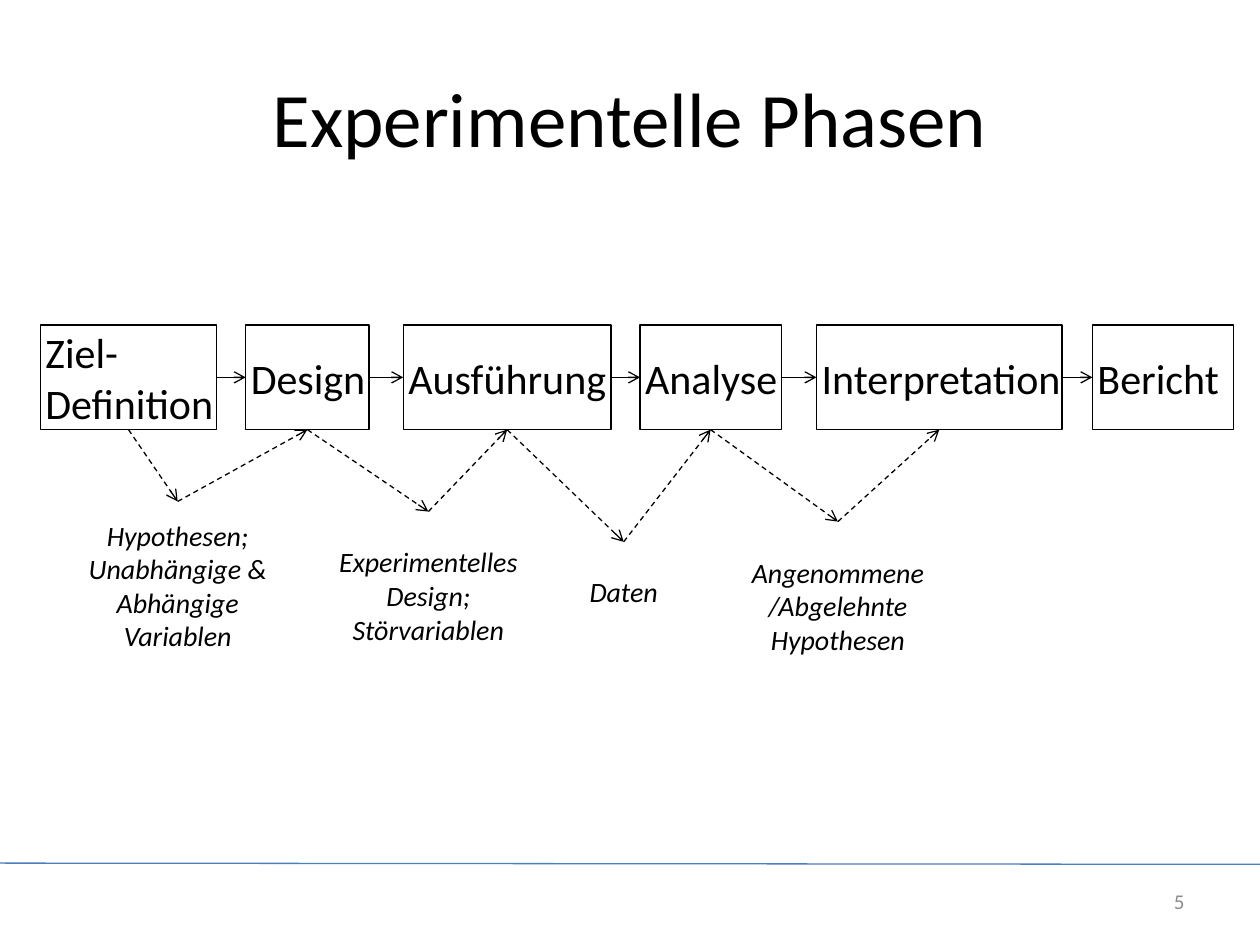
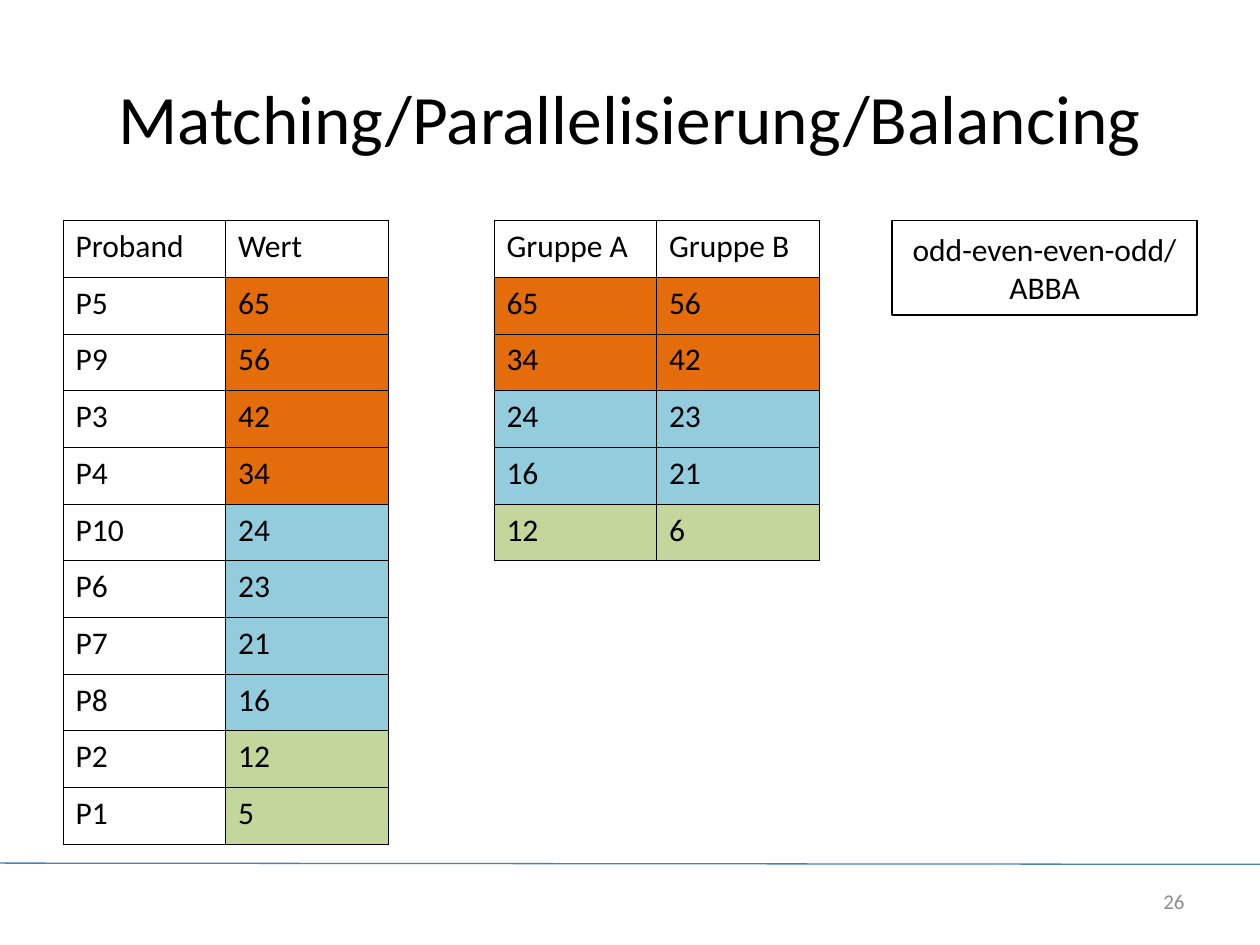
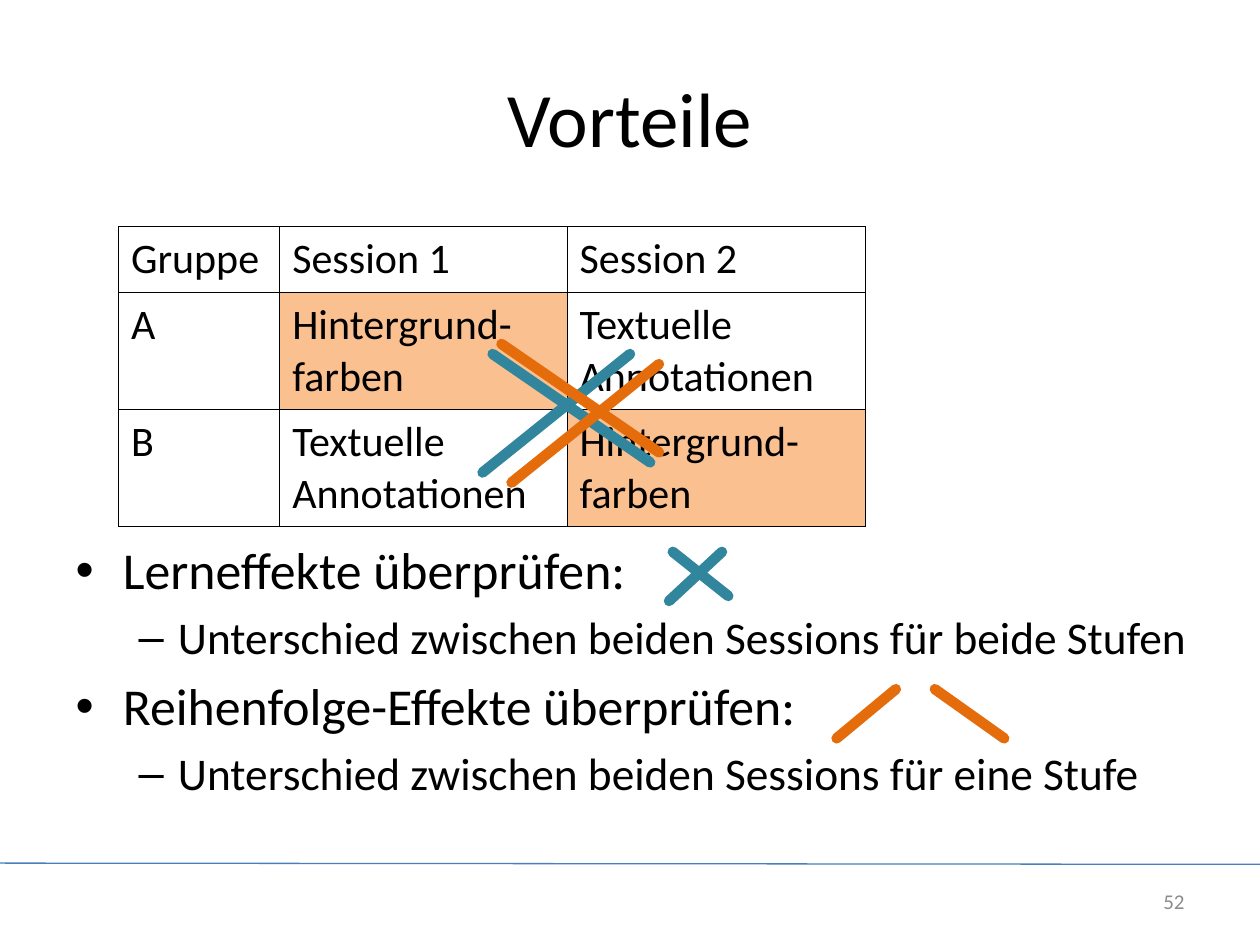
import dataclasses

import pptx
import pptx.dml.color
import pptx.enum.dml
import pptx.enum.shapes
import pptx.enum.text
import pptx.oxml
import pptx.oxml.ns
import pptx.util

ALIGN = pptx.enum.text.PP_ALIGN
ANCHOR = pptx.enum.text.MSO_ANCHOR
RECTANGLE = pptx.enum.shapes.MSO_SHAPE.RECTANGLE
STRAIGHT = pptx.enum.shapes.MSO_CONNECTOR.STRAIGHT
TOP, LEFT, BOTTOM, RIGHT = range(4)
EMU_PER_PX = 9144  # 100 px to the inch


@dataclasses.dataclass(frozen=True)
class Theme:
    font: str = "Calibri"
    ink: str = "000000"
    paper: str = "FFFFFF"
    muted: str = "8C8C8C"
    rule: str = "4B7EBC"
    orange: str = "E46C0A"
    peach: str = "FAC090"
    blue: str = "93CDDD"
    green: str = "C3D69B"
    teal: str = "31859C"
    title_size: float = 44
    long_title_size: float = 39.6
    list_sizes: tuple = (29.6, 25.9)
    large_size: float = 24
    medium_size: float = 18
    note_size: float = 16
    number_size: float = 12
    thin: float = 0.75
    border: float = 0.45
    thick: float = 6
    cell_spacing: float = 1.02


THEME = Theme()


# Shared helpers

def px(length):
    return pptx.util.Emu(length * EMU_PER_PX)


def rgb(color):
    return pptx.dml.color.RGBColor.from_string(color)


def place(shape, box):
    shape.left, shape.top, shape.width, shape.height = map(px, box)


def write(frame, lines, size, color=THEME.ink, align=None, italic=None):
    """Put one paragraph per line into the frame and return the paragraphs."""
    for index, line in enumerate(lines):
        paragraph = frame.paragraphs[0] if index == 0 else frame.add_paragraph()
        paragraph.alignment = align
        run = paragraph.add_run()
        run.text = line
        run.font.name = THEME.font
        run.font.size = pptx.util.Pt(size)
        run.font.italic = italic
        run.font.color.rgb = rgb(color)
    return frame.paragraphs


def add_label(slide, box, lines, size, **style):
    shape = slide.shapes.add_textbox(*map(px, box))
    shape.text_frame.word_wrap = True
    shape.text_frame.vertical_anchor = ANCHOR.MIDDLE
    write(shape.text_frame, lines, size, **style)
    return shape


def add_rectangle(slide, box, fill=None, line=None):
    shape = slide.shapes.add_shape(RECTANGLE, *map(px, box))
    shape.shadow.inherit = False
    if fill:
        shape.fill.solid()
        shape.fill.fore_color.rgb = rgb(fill)
    else:
        shape.fill.background()
    if line:
        shape.line.color.rgb = rgb(line)
        shape.line.width = pptx.util.Pt(THEME.thin)
    else:
        shape.line.fill.background()
    shape.text_frame.word_wrap = True
    shape.text_frame.vertical_anchor = ANCHOR.MIDDLE
    return shape


def add_line(shapes, ends, color, width):
    connector = shapes.add_connector(STRAIGHT, *map(px, ends))
    connector.line.color.rgb = rgb(color)
    connector.line.width = pptx.util.Pt(width)
    properties = connector._element.spPr
    properties.append(pptx.oxml.parse_xml(
        f"<a:effectLst {pptx.oxml.ns.nsdecls('a')}/>"))
    return connector


def add_arrow(slide, start, start_side, end, end_side, dashed=False):
    arrow = add_line(slide.shapes, (0, 0, 0, 0), THEME.ink, THEME.thin)
    arrow.begin_connect(start, start_side)
    arrow.end_connect(end, end_side)
    if dashed:
        arrow.line.dash_style = pptx.enum.dml.MSO_LINE.DASH
    arrow.line._get_or_add_ln().append(pptx.oxml.parse_xml(
        f'<a:tailEnd {pptx.oxml.ns.nsdecls("a")} type="arrow"/>'))


def add_strokes(slide, origin, strokes, color):
    """Draw thick round-ended lines, given relative to the origin."""
    shapes = slide.shapes.add_group_shape().shapes
    x, y = origin
    for x1, y1, x2, y2 in strokes:
        stroke = add_line(shapes, (x + x1, y + y1, x + x2, y + y2),
                          color, THEME.thick)
        stroke.line._get_or_add_ln().set("cap", "rnd")


def set_borders(cell):
    properties = cell._tc.get_or_add_tcPr()
    for index, side in enumerate("LRTB"):
        properties.insert(index, pptx.oxml.parse_xml(
            f'<a:ln{side} {pptx.oxml.ns.nsdecls("a")} '
            f'w="{pptx.util.Pt(THEME.border)}"><a:solidFill>'
            f'<a:srgbClr val="{THEME.ink}"/></a:solidFill></a:ln{side}>'))


def add_grid(slide, origin, widths, heights, rows, size, fills=None):
    """Add a bordered table; fills maps (row, column) to a colour."""
    fills = fills or {}
    box = (*origin, sum(widths), sum(heights))
    table = slide.shapes.add_table(len(rows), len(widths), *map(px, box)).table
    table.first_row = table.horz_banding = False
    for column, width in zip(table.columns, widths):
        column.width = px(width)
    for row, height in zip(table.rows, heights):
        row.height = px(height)
    for r, texts in enumerate(rows):
        for c, text in enumerate(texts):
            cell = table.cell(r, c)
            if (r, c) in fills:
                cell.fill.solid()
                cell.fill.fore_color.rgb = rgb(fills[r, c])
            else:
                cell.fill.background()
            set_borders(cell)
            paragraph = write(cell.text_frame, [text], size)[0]
            paragraph.line_spacing = THEME.cell_spacing


def start_slide(presentation, layout, title, number, size=THEME.title_size):
    """Add a slide with its title, footer rule and number."""
    slide = presentation.slides.add_slide(presentation.slide_layouts[layout])
    add_line(slide.shapes, (0, 685, 1000, 686), THEME.rule, THEME.thin)
    heading = slide.shapes.title
    place(heading, (50, 30, 900, 125))
    heading.text_frame.auto_size = pptx.enum.text.MSO_AUTO_SIZE.NONE
    heading.text_frame.vertical_anchor = ANCHOR.MIDDLE
    write(heading.text_frame, [title], size, align=ALIGN.CENTER)
    add_label(slide, (859, 695, 91, 40), [number], THEME.number_size,
              color=THEME.muted, align=ALIGN.RIGHT)
    return slide


# Slide 1: process chain

def add_phases(slide, box):
    left, top, _, height = box
    phases = []
    for text, offset, width in (("Ziel-Definition", 0, 140),
                                ("Design", 163, 98),
                                ("Ausführung", 288, 165),
                                ("Analyse", 476, 112),
                                ("Interpretation", 616, 195),
                                ("Bericht", 835, 112)):
        phase = add_rectangle(slide, (left + offset, top, width, height),
                              line=THEME.ink)
        frame = phase.text_frame
        frame.margin_left = px(4)
        frame.margin_top = frame.margin_right = frame.margin_bottom = 0
        write(frame, [text], THEME.large_size, align=ALIGN.LEFT)
        phases.append(phase)
    for phase, following in zip(phases, phases[1:]):
        add_arrow(slide, phase, RIGHT, following, LEFT)
    return phases


def add_results(slide, box, phases):
    """Each result leads from one phase to the next."""
    left, top, _, _ = box
    results = (
        (["Hypothesen; Unabhängige & Abhängige Variablen"], 0, 0, 188, 133),
        (["Experimentelles Design;", "Störvariablen"], 211, 8, 164, 133),
        (["Daten"], 398, 32, 100, 78),
        (["Angenommene/Abgelehnte Hypothesen"], 539, 16, 158, 133),
    )
    for (lines, x, y, width, height), phase, following in zip(
            results, phases, phases[1:]):
        result = add_label(slide, (left + x, top + y, width, height), lines,
                           THEME.note_size, align=ALIGN.CENTER, italic=True)
        add_arrow(slide, phase, BOTTOM, result, TOP, dashed=True)
        add_arrow(slide, result, TOP, following, BOTTOM, dashed=True)


def build_phases_slide(presentation):
    slide = start_slide(presentation, 5, "Experimentelle Phasen", "5")
    phases = add_phases(slide, (32, 258, 947, 83))
    add_results(slide, (47, 398, 697, 149), phases)


# Slide 2: matched groups

def add_banded_table(slide, origin, rows, bands, first_column):
    """Lay coloured bands of whole rows behind a two-column table."""
    left, top = origin
    width, height = 129, 45
    band_top = top + height
    for color, count in bands:
        add_rectangle(slide, (left + first_column * width, band_top,
                              (2 - first_column) * width, count * height),
                      fill=color)
        band_top += count * height
    add_grid(slide, origin, [width] * 2, [height] * len(rows), rows,
             THEME.medium_size)


def build_matching_slide(presentation):
    slide = start_slide(presentation, 5, "Matching/Parallelisierung/Balancing",
                        "26", THEME.long_title_size)
    subjects = (("Proband", "Wert"), ("P5", "65"), ("P9", "56"), ("P3", "42"),
                ("P4", "34"), ("P10", "24"), ("P6", "23"), ("P7", "21"),
                ("P8", "16"), ("P2", "12"), ("P1", "5"))
    groups = (("Gruppe A", "Gruppe B"), ("65", "56"), ("34", "42"),
              ("24", "23"), ("16", "21"), ("12", "6"))
    add_banded_table(slide, (50, 175), subjects,
                     ((THEME.orange, 4), (THEME.blue, 4), (THEME.green, 2)), 1)
    add_banded_table(slide, (392, 175), groups,
                     ((THEME.orange, 2), (THEME.blue, 2), (THEME.green, 1)), 0)
    scheme = add_rectangle(slide, (708, 175, 242, 75), THEME.paper, THEME.ink)
    write(scheme.text_frame, ["odd-even-even-odd/", "ABBA"],
          THEME.medium_size, align=ALIGN.CENTER)


# Slide 3: crossover design

def add_bullets(slide, box, items):
    body = slide.placeholders[1]
    place(body, box)
    frame = body.text_frame
    frame.auto_size = pptx.enum.text.MSO_AUTO_SIZE.NONE
    paragraphs = write(frame, [text for _, text in items], THEME.list_sizes[0])
    for paragraph, (level, _) in zip(paragraphs, items):
        paragraph.level = level
        paragraph.runs[0].font.size = pptx.util.Pt(THEME.list_sizes[level])


def build_advantages_slide(presentation):
    slide = start_slide(presentation, 1, "Vorteile", "52")
    colours, notes = "Hintergrund-farben", "Textuelle Annotationen"
    add_grid(slide, (94, 180), (128, 228, 237), (52, 93, 93),
             (("Gruppe", "Session 1", "Session 2"),
              ("A", colours, notes), ("B", notes, colours)),
             THEME.large_size, {(1, 1): THEME.peach, (2, 2): THEME.peach})
    add_bullets(slide, (50, 422, 919, 248), (
        (0, "Lerneffekte überprüfen:"),
        (1, "Unterschied zwischen beiden Sessions für beide Stufen"),
        (0, "Reihenfolge-Effekte überprüfen:"),
        (1, "Unterschied zwischen beiden Sessions für eine Stufe")))
    # Crosses over the table, then their keys beside the list
    add_strokes(slide, (383, 281), ((8, 0, 133, 86), (0, 94, 117, 0)),
                THEME.teal)
    add_strokes(slide, (398, 273), ((0, 0, 125, 86), (8, 110, 125, 16)),
                THEME.orange)
    add_strokes(slide, (531, 438), ((3, 0, 47, 35), (0, 39, 42, 0)),
                THEME.teal)
    add_strokes(slide, (664, 547), ((78, 0, 133, 39), (0, 39, 47, 0)),
                THEME.orange)


def main():
    presentation = pptx.Presentation()
    presentation.slide_width, presentation.slide_height = px(1000), px(750)
    build_phases_slide(presentation)
    build_matching_slide(presentation)
    build_advantages_slide(presentation)
    presentation.save("out.pptx")


if __name__ == "__main__":
    main()
